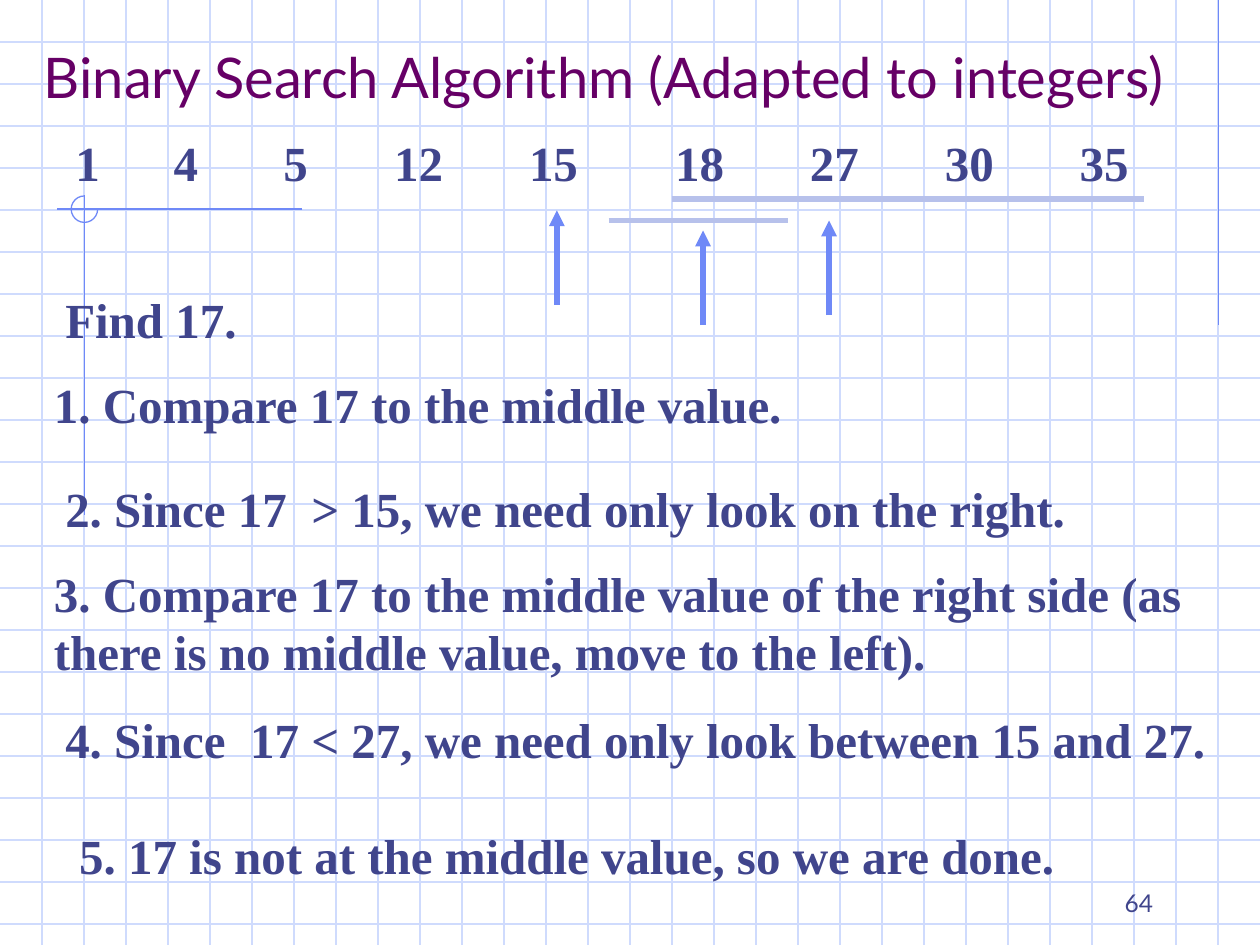
from lxml import etree
from pptx import Presentation
from pptx import util as u
from pptx.dml import color
from pptx.enum import shapes, text
from pptx.oxml import ns

INK = {"grid": "CFDBFD", "blue": "6F89F7", "pale": "B7C1EB",
       "title": "660066", "body": "40458C"}
TITLE = {"name": "Lato", "size": u.Pt(32)}
BODY = {"name": "Times New Roman", "size": u.Pt(28), "bold": True}
PAGE = {"name": "Lato", "size": u.Pt(14)}


def hue(key):
    return color.RGBColor.from_string(INK[key])


def add_line(slide, start, end, key, width=0.75, arrow=False):
    ends = [u.Inches(v) for v in (*start, *end)]
    line = slide.shapes.add_connector(shapes.MSO_CONNECTOR.STRAIGHT, *ends)
    line.line.color.rgb = hue(key)
    line.line.width = u.Pt(width)
    if arrow:
        tip = etree.SubElement(line.line._get_or_add_ln(), ns.qn("a:tailEnd"))
        tip.set("type", "triangle")
    etree.SubElement(line._element.spPr, ns.qn("a:effectLst"))


def add_text(slide, box, words, style, key, anchor="TOP", align="LEFT", tabs=()):
    shape = slide.shapes.add_textbox(*[u.Inches(v) for v in box])
    frame = shape.text_frame
    frame.word_wrap = True
    frame.vertical_anchor = text.MSO_ANCHOR[anchor]
    para = frame.paragraphs[0]
    para.alignment = text.PP_ALIGN[align]
    if tabs:
        stops = etree.SubElement(para._p.get_or_add_pPr(), ns.qn("a:tabLst"))
        for stop in tabs:
            tab = etree.SubElement(stops, ns.qn("a:tab"))
            tab.set("pos", str(u.Inches(stop)))
            tab.set("algn", "l")
    run = para.add_run()
    run.text = words
    for name, value in style.items():
        setattr(run.font, name, value)
    run.font.color.rgb = hue(key)


def draw_grid(slide, box):
    left, top, width, height = box
    right, base = left + width, top + height
    for n in range(1, int(height * 3) + 1):
        y = top + n / 3
        add_line(slide, (left, y), (right, y), "grid")
    for n in range(1, int(width * 3)):
        x = left + n / 3
        add_line(slide, (x, top), (x, base), "grid")


def draw_trim(slide, box):
    left, top, width, height = box
    x, y, size = left + 0.67, top + 1.66, 0.21
    edge = left + width - 0.33
    add_line(slide, (edge, top), (edge, top + 2.58), "blue")
    add_line(slide, (left + 2.4, y), (left + 0.45, y), "blue")
    add_line(slide, (x, y - 0.11), (x, top + 4.09), "blue")
    place = [u.Inches(v) for v in (x - size / 2, y - size / 2, size, size)]
    ring = slide.shapes.add_shape(shapes.MSO_SHAPE.ARC, *place)
    ring.adjustments[0] = 0
    ring.adjustments[1] = 162
    ring.fill.background()
    ring.line.color.rgb = hue("blue")
    ring.line.width = u.Pt(0.75)
    ring.shadow.inherit = False


def draw_list(slide, box):
    left, top, width, height = box
    nums = "1 4 5 12 15 18 27 30 35".split()
    stops = (0.78, 1.65, 2.53, 3.6, 4.76, 5.83, 6.9, 7.97)
    add_text(slide, box, "\t".join(nums), BODY, "body", tabs=stops)
    for x, y in ((3.92, 0.67), (6.08, 0.75), (5.08, 0.83)):
        tip = (left + x, top + y)
        add_line(slide, (tip[0], tip[1] + 0.75), tip, "blue", 3, True)
    for x, y, span in ((4.83, 0.58, 3.75), (4.33, 0.75, 1.42)):
        start = (left + x, top + y)
        add_line(slide, start, (start[0] + span, start[1]), "pale", 3)


def draw_steps(slide, box):
    left, top, width, height = box
    steps = [
        (0.09, 0, 3, "Find 17."),
        (0, 0.67, 7.5, "1. Compare 17 to the middle value."),
        (0.09, 1.5, 8.83, "2. Since 17  > 15, we need only look on the right."),
        (0, 2.17, 9.42, "3. Compare 17 to the middle value of the right side "
         "(as there is no middle value, move to the left)."),
        (0.09, 3.33, 9.33, "4. Since  17 < 27, we need only look between 15 and 27."),
        (0.2, 4.25, 8.89, "5. 17 is not at the middle value, so we are done."),
    ]
    for x, y, span, words in steps:
        tall = 1.04 if words.startswith("3") else 0.57
        add_text(slide, (left + x, top + y, span, tall), words, BODY, "body")


def main():
    deck = Presentation()
    deck.slide_width, deck.slide_height = u.Inches(10), u.Inches(7.5)
    slide = deck.slides.add_slide(deck.slide_layouts[6])
    full = (0, 0, 10, 7.5)
    draw_grid(slide, full)
    draw_trim(slide, full)
    add_text(slide, (0.25, 0.17, 9.5, 0.75),
             "Binary Search Algorithm (Adapted to integers)",
             TITLE, "title", anchor="BOTTOM")
    draw_list(slide, (0.5, 1, 8.92, 1.04))
    draw_steps(slide, (0.33, 2.25, 9.42, 4.82))
    add_text(slide, (7.17, 6.83, 2.08, 0.5), "64", PAGE, "body",
             anchor="BOTTOM", align="RIGHT")
    deck.save("out.pptx")


if __name__ == "__main__":
    main()
